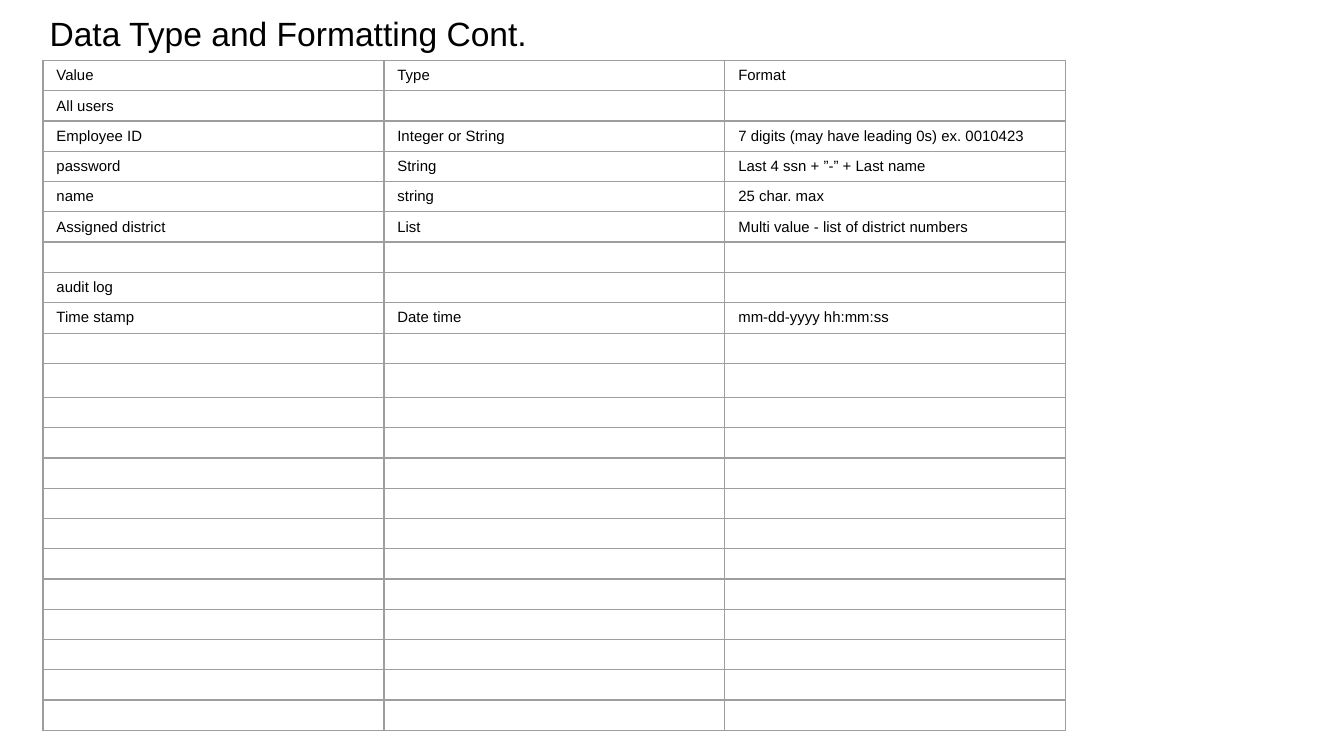
from lxml.etree import SubElement
from pptx import Presentation
from pptx.dml.color import RGBColor
from pptx.enum.text import MSO_ANCHOR
from pptx.oxml.ns import qn
from pptx.util import Inches, Pt

BLACK = RGBColor(0x00, 0x00, 0x00)
GRAY = RGBColor(0x9E, 0x9E, 0x9E)

# Table content; the remaining rows are blank
ROWS = [
    ("Value", "Type", "Format"),
    ("All users", "", ""),
    ("Employee ID", "Integer or String", "7 digits (may have leading 0s) ex. 0010423"),
    ("password", "String", "Last 4 ssn + ”-” + Last name"),
    ("name", "string", "25 char. max"),
    ("Assigned district", "List", "Multi value - list of district numbers"),
    ("", "", ""),
    ("audit log", "", ""),
    ("Time stamp", "Date time", "mm-dd-yyyy hh:mm:ss"),
]
ROWS += [("", "", "")] * 13
TALL = {8: 0.23, 10: 0.25}


def write(frame, text, size=8, font="Arial", color=BLACK):
    """Put one formatted line of text in a frame."""
    para = frame.paragraphs[0]
    if not text:
        # An empty cell needs its size on the paragraph end
        end = SubElement(para._p, qn("a:endParaRPr"))
        end.set("sz", str(size * 100))
        return
    run = para.add_run()
    run.text = text
    run.font.size = Pt(size)
    run.font.name = font
    run.font.color.rgb = color


def frame_cell(cell, color=GRAY, width=0.75):
    """Draw the four borders of a cell."""
    props = cell._tc.get_or_add_tcPr()
    for i, side in enumerate(("a:lnL", "a:lnR", "a:lnT", "a:lnB")):
        line = SubElement(props, qn(side), w=str(Pt(width)))
        fill = SubElement(line, qn("a:solidFill"))
        SubElement(fill, qn("a:srgbClr"), val=str(color))
        props.remove(line)
        props.insert(i, line)


class Deck:
    """Holds the style and the current slide."""

    def __init__(self, width):
        self.show = Presentation()
        # Wide screen, 16 to 9
        self.show.slide_width = Inches(width)
        self.show.slide_height = Inches(width * 9 / 16)
        self.slide = self.show.slides.add_slide(self.show.slide_layouts[6])

    def title(self, text, left, top, width, height):
        box = self.slide.shapes.add_textbox(
            Inches(left), Inches(top), Inches(width), Inches(height))
        frame = box.text_frame
        frame.word_wrap = True
        frame.vertical_anchor = MSO_ANCHOR.TOP
        frame.margin_left = frame.margin_right = Inches(0.1)
        frame.margin_top = frame.margin_bottom = Inches(0.1)
        write(frame, text, size=18)

    def table(self, rows, left, top, width, height, tall):
        count = len(rows[0])
        table = self.slide.shapes.add_table(
            len(rows), count, Inches(left), Inches(top),
            Inches(width), Inches(height)).table
        table.first_row = table.horz_banding = False
        for col in table.columns:
            col.width = Inches(width / count)
        # Rows share the height left over by the tall ones
        even = (height - sum(tall.values())) / (len(rows) - len(tall))
        for r, texts in enumerate(rows):
            table.rows[r].height = Inches(tall.get(r, even))
            for c, text in enumerate(texts):
                cell = table.cell(r, c)
                cell.margin_left = cell.margin_right = Inches(0.1)
                cell.margin_top, cell.margin_bottom = Inches(0.05), Inches(0.03)
                cell.fill.background()
                frame_cell(cell)
                write(cell.text_frame, text)

    def save(self):
        self.show.save("out.pptx")


def main():
    deck = Deck(10)
    # Heading
    deck.title("Data Type and Formatting Cont.", 0.27, 0, 9.32, 0.27)
    # Field list
    deck.table(ROWS, 0.32, 0.45, 7.61, 4.99, TALL)
    deck.save()


if __name__ == "__main__":
    main()
